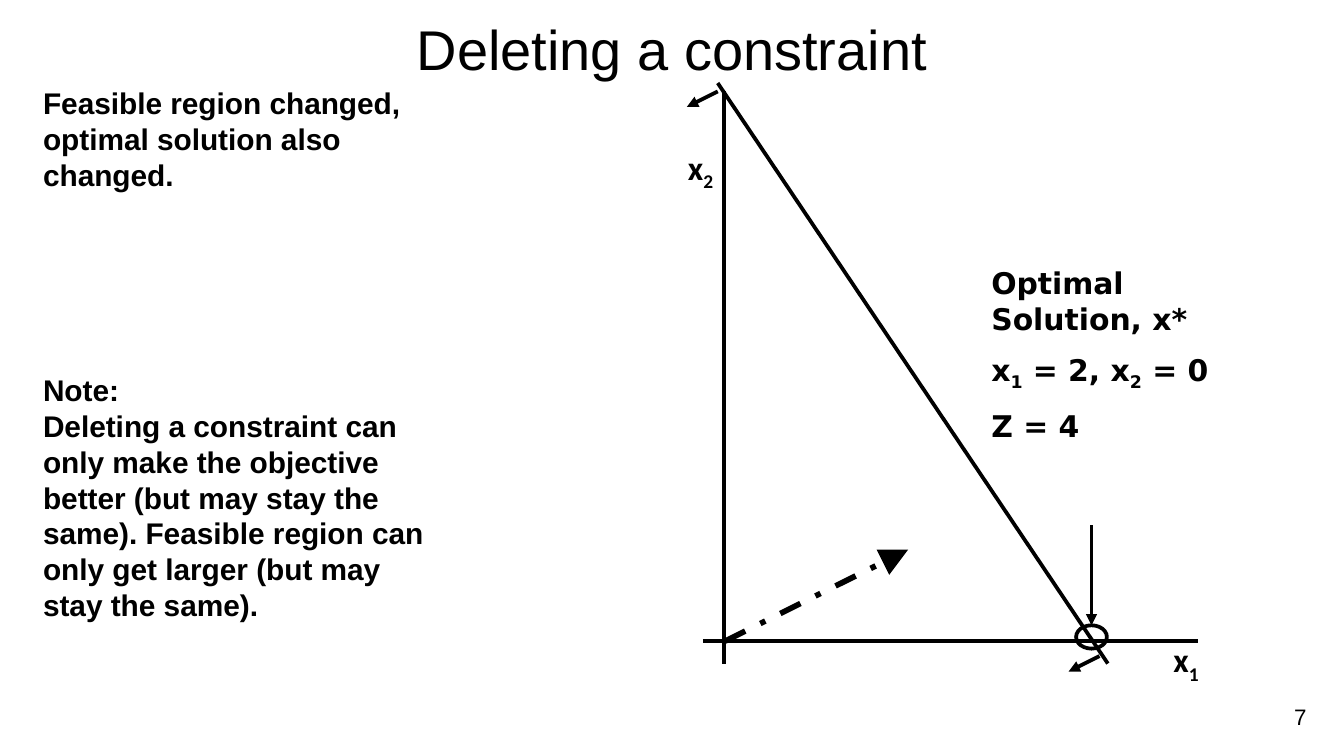
from dataclasses import dataclass

from lxml.etree import SubElement
from pptx import Presentation
from pptx.dml.color import RGBColor
from pptx.enum.dml import MSO_LINE_DASH_STYLE as DASH
from pptx.enum.shapes import MSO_CONNECTOR, MSO_SHAPE
from pptx.enum.text import MSO_ANCHOR as ANCHOR, PP_ALIGN as ALIGN
from pptx.oxml.ns import qn
from pptx.util import Pt


@dataclass(frozen=True)
class Theme:
    """Colours, fonts, type sizes and line weights."""
    ink: RGBColor = RGBColor(0, 0, 0)
    paper: RGBColor = RGBColor(255, 255, 255)
    body_font: str = "Arial"
    axis_font: str = "Calibri"
    answer_font: str = "DejaVu Sans"
    title: float = 30
    axis: float = 18
    body: float = 16
    number: float = 12
    leading: float = 19.2
    line: float = 2
    heavy_line: float = 3


THEME = Theme()


def add_text(slide, box, paragraphs, size=THEME.body, font=THEME.body_font, bold=True,
             align=ALIGN.LEFT, anchor=ANCHOR.TOP, gaps=(), leading=None):
    """Add a text box; an underscore makes the next character a subscript."""
    frame = slide.shapes.add_textbox(*map(Pt, box)).text_frame
    frame.word_wrap = True
    frame.vertical_anchor = anchor
    for index, text in enumerate(paragraphs):
        paragraph = frame.paragraphs[0] if index == 0 else frame.add_paragraph()
        paragraph.alignment = align
        if leading:
            paragraph.line_spacing = Pt(leading)
        if index and gaps:
            paragraph.space_before = Pt(gaps[index - 1])
        first, *rest = text.split("_")
        pieces = [(first, False)]
        for part in rest:
            pieces += [(part[0], True), (part[1:], False)]
        for piece, subscript in pieces:
            if not piece:
                continue
            for number, line in enumerate(piece.split("\n")):
                if number:
                    paragraph.add_line_break()
                run = paragraph.add_run()
                run.text = line
                run.font.name = font
                run.font.size = Pt(size)
                run.font.bold = bold
                run.font.color.rgb = THEME.ink
                if subscript:
                    run._r.get_or_add_rPr().set("baseline", "-25000")


def add_line(slide, start, end, weight=THEME.line, head=None, dash=None):
    """Add a straight line, with an arrowhead of the given size at its end."""
    line = slide.shapes.add_connector(MSO_CONNECTOR.STRAIGHT, *map(Pt, (*start, *end)))
    line.line.color.rgb = THEME.ink
    line.line.width = Pt(weight)
    if dash:
        line.line.dash_style = dash
    if head:
        SubElement(line.line._get_or_add_ln(), qn("a:tailEnd"), type="triangle", w=head, len=head)
    SubElement(line._element.spPr, qn("a:effectLst"))
    return line


def add_header(slide, box):
    """Add the slide title."""
    add_text(slide, box, ["Deleting a constraint"], size=THEME.title, bold=False,
             align=ALIGN.CENTER, anchor=ANCHOR.MIDDLE)


def add_notes(slide, box):
    """Add the remarks, with the note five lines below the first one."""
    add_text(slide, box, [
        "Feasible region changed, optimal solution also changed.",
        "Note:",
        "Deleting a constraint can only make the objective better (but may stay the same). "
        "Feasible region can only get larger (but may stay the same).",
    ], gaps=(5 * THEME.leading, 0), leading=THEME.leading)


def add_plot(slide, box):
    """Add the axes, constraint, objective direction and optimal point."""
    left, top, width, height = box

    def at(x, y):
        return left + x, top + y

    origin_x, origin_y = 28, height - 12
    add_line(slide, at(origin_x, 5), at(origin_x, height))
    add_line(slide, at(16.5, origin_y), at(width, origin_y))
    add_text(slide, (*at(1.5, 31), 31, 29), ["x_2"], size=THEME.axis, font=THEME.axis_font)
    add_text(slide, (*at(261.5, 295), 32, 20), ["x_1"], size=THEME.axis, font=THEME.axis_font)

    add_line(slide, at(24.5, 0.5), at(233.5, height))
    for x, y in ((24.5, 5), (229, 307.5)):
        add_line(slide, at(x, y), at(x - 16.5, y + 8.25), head="med")
    add_line(slide, at(origin_x + 0.5, origin_y), at(origin_x + 98.5, origin_y - 49),
             weight=THEME.heavy_line, head="lg", dash=DASH.DASH_DOT)

    optimum = slide.shapes.add_shape(MSO_SHAPE.OVAL, *map(Pt, (*at(216.5, 291), 16.5, 12.5)))
    optimum.shadow.inherit = False
    optimum.fill.background()
    optimum.line.color.rgb = THEME.ink
    optimum.line.width = Pt(THEME.line)
    pointer = add_line(slide, at(224.75, 237.5), at(224.75, 291), head="med")
    pointer.end_connect(optimum, 0)


def add_answer(slide, box):
    """Add the optimal solution and its objective value."""
    add_text(slide, box, ["Optimal\nSolution, x*", "x_1 = 2, x_2 = 0", "Z = 4"],
             font=THEME.answer_font, gaps=(8, 8))


def add_slide_number(slide, box):
    """Add the slide number."""
    add_text(slide, box, ["7"], size=THEME.number, bold=False,
             align=ALIGN.RIGHT, anchor=ANCHOR.MIDDLE)


def main():
    """Build the slide and save it."""
    presentation = Presentation()
    presentation.slide_width, presentation.slide_height = Pt(720), Pt(405)
    slide = presentation.slides.add_slide(presentation.slide_layouts[6])
    slide.background.fill.solid()
    slide.background.fill.fore_color.rgb = THEME.paper
    add_header(slide, (36, 4.5, 648, 42.5))
    add_slide_number(slide, (539.5, 373, 167.5, 21.5))
    add_notes(slide, (16, 42, 224.5, 298))
    add_plot(slide, (360, 44, 282, 311.5))
    add_answer(slide, (524, 138.5, 144, 133))
    presentation.save("out.pptx")


if __name__ == "__main__":
    main()
